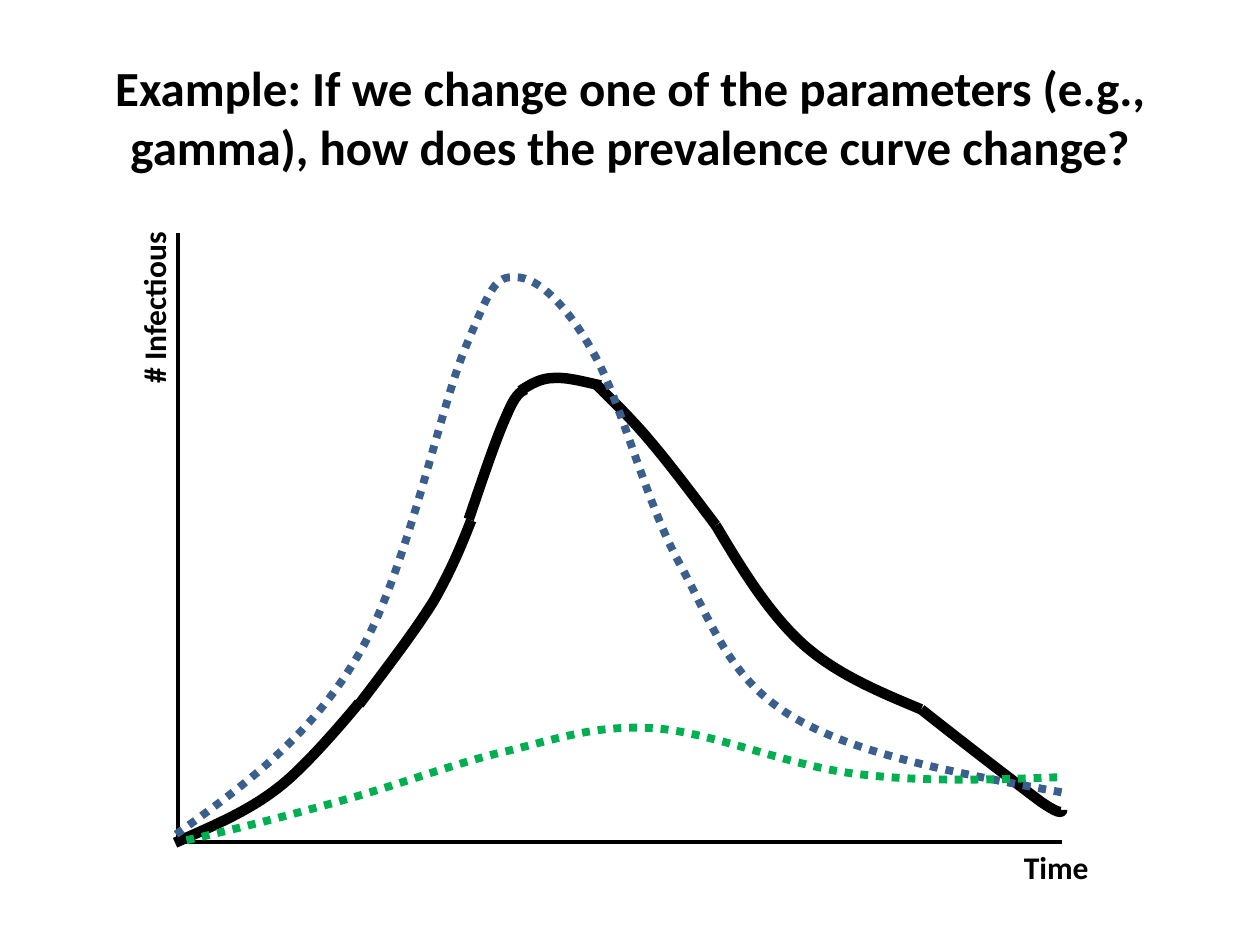
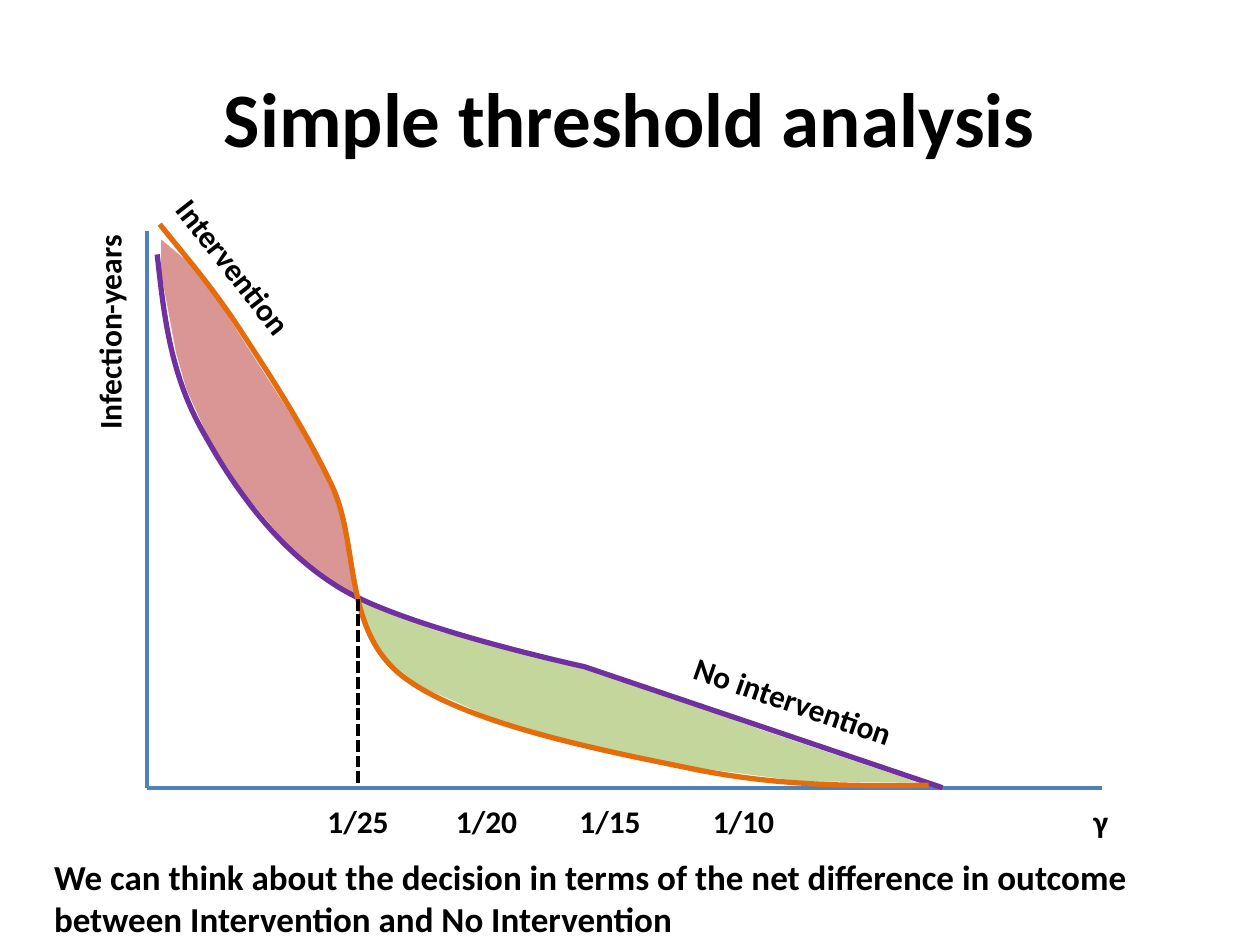
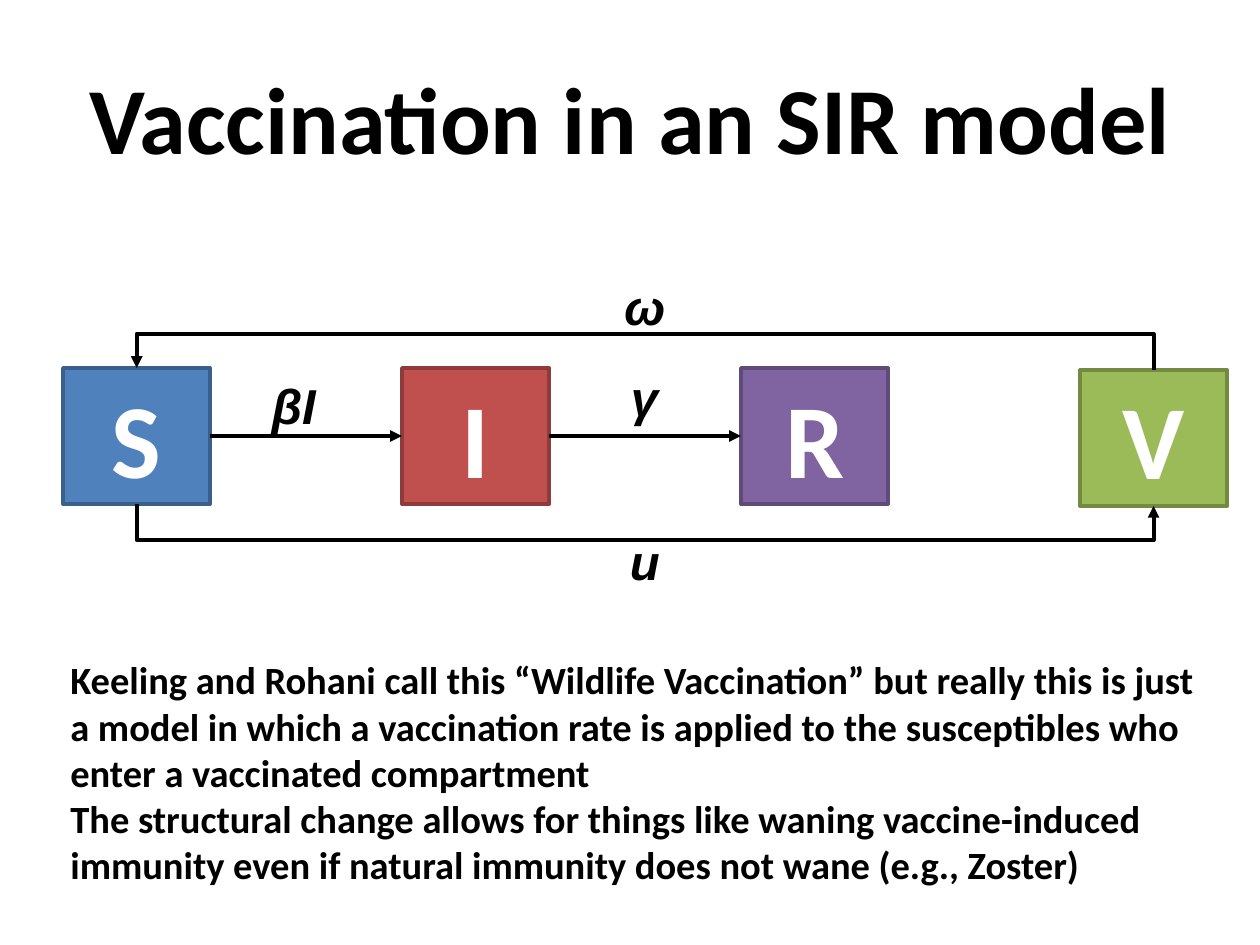
import collections

import pptx
import pptx.dml.color
import pptx.enum.dml
import pptx.enum.shapes
import pptx.enum.text
import pptx.oxml
import pptx.oxml.ns
import pptx.util

Cm = pptx.util.Cm
Pt = pptx.util.Pt
RGBColor = pptx.dml.color.RGBColor
DASH = pptx.enum.dml.MSO_LINE
CONNECTOR = pptx.enum.shapes.MSO_CONNECTOR
TEXT = pptx.enum.text
qn = pptx.oxml.ns.qn

BLACK = RGBColor(0x00, 0x00, 0x00)
WHITE = RGBColor(0xFF, 0xFF, 0xFF)
NAVY = RGBColor(0x3A, 0x5F, 0x8C)
GREEN = RGBColor(0x00, 0xB0, 0x50)
BLUE = RGBColor(0x4F, 0x81, 0xBD)
RED = RGBColor(0xC0, 0x50, 0x4D)
DARK_RED = RGBColor(0x8E, 0x3B, 0x39)
VIOLET = RGBColor(0x80, 0x64, 0xA2)
DARK_VIOLET = RGBColor(0x5F, 0x4A, 0x78)
OLIVE = RGBColor(0x9B, 0xBB, 0x59)
DARK_OLIVE = RGBColor(0x73, 0x8A, 0x42)
PURPLE = RGBColor(0x70, 0x30, 0xA0)
ORANGE = RGBColor(0xE4, 0x6C, 0x0A)
PALE_GREEN = RGBColor(0xC3, 0xD6, 0x9B)
PALE_RED = RGBColor(0xD9, 0x96, 0x94)

FONT = "Calibri"
SYMBOL_FONT = "Arial"
AXIS_WIDTH = 2.25
LABEL_HEIGHT = 1.02

# Centimetres; parts are placed relative to left and top.
Box = collections.namedtuple("Box", "left top width height")

# Curves: a start point, then two control points and an end point per segment.
BASELINE_PREVALENCE = [
    [(-0.05, 12.29), (0.69, 11.96), (1.42, 11.66), (2.03, 11.18),
     (2.64, 10.72), (3.66, 9.47), (3.66, 9.47)],
    [(3.66, 9.5), (4.22, 8.76), (4.78, 8.03), (5.16, 7.42),
     (5.51, 6.81), (5.72, 6.3), (5.92, 5.79)],
    [(5.87, 5.77), (6.15, 4.95), (6.43, 4.11), (6.63, 3.68),
     (6.81, 3.25), (6.91, 3.2), (7.01, 3.15)],
    [(6.91, 3.18), (7.11, 3.05), (7.32, 2.92), (7.59, 2.92),
     (7.85, 2.9), (8.2, 3), (8.53, 3.07)],
    [(8.46, 3.07), (8.79, 3.4), (9.14, 3.73), (9.55, 4.22),
     (9.93, 4.67), (10.39, 5.28), (10.85, 5.89)],
    [(10.85, 5.89), (11.38, 6.78), (11.91, 7.65), (12.6, 8.28),
     (13.28, 8.89), (14.15, 9.25), (14.99, 9.6)],
    [(14.99, 9.6), (15.95, 10.36), (16.92, 11.1), (17.4, 11.46),
     (17.88, 11.79), (17.83, 11.63), (17.83, 11.63)],
]
HIGH_PREVALENCE = [
    (-0.03, 12.12), (1.32, 11.15), (2.64, 10.19), (3.61, 8.56),
    (4.6, 6.93), (5.26, 3.63), (5.79, 2.34),
    (6.32, 1.07), (6.4, 0.86), (6.83, 0.89),
    (7.26, 0.89), (7.85, 1.45), (8.38, 2.41),
    (8.94, 3.38), (9.45, 5.46), (10.13, 6.68),
    (10.8, 7.92), (11.13, 8.99), (12.4, 9.75),
    (13.69, 10.52), (15.77, 10.9), (17.86, 11.28),
]
LOW_PREVALENCE = [
    (0.18, 12.24), (1.27, 11.99), (2.36, 11.71), (3.45, 11.4),
    (4.52, 11.1), (5.64, 10.67), (6.65, 10.44),
    (7.67, 10.19), (8.43, 9.91), (9.6, 9.98),
    (10.77, 10.06), (12.32, 10.74), (13.67, 10.9),
    (15.04, 11.07), (16.38, 11.02), (17.73, 10.97),
]
NO_INTERVENTION = [
    (0.2, 0.48), (0.33, 1.68), (0.46, 2.84), (1.07, 3.96),
    (1.68, 5.08), (2.57, 6.4), (3.86, 7.19),
    (5.16, 8), (8.81, 8.79), (8.81, 8.79),
    (8.81, 8.79), (16.03, 11.23), (16.03, 11.23),
]
INTERVENTION = [
    (0.25, -0.13), (0.76, 0.51), (1.3, 1.12), (1.88, 2.01),
    (2.46, 2.9), (3.18, 3.99), (3.73, 5.16),
    (4.27, 6.32), (3.94, 8.03), (5.13, 8.97),
    (6.32, 9.91), (9.07, 10.46), (10.85, 10.82),
    (12.62, 11.2), (14.2, 11.2), (15.75, 11.18),
]
NET_BENEFIT = [
    (15.52, 11.13), (13.18, 11.1), (10.39, 10.74), (7.32, 9.98),
    (5.46, 9.17), (4.62, 8.46), (4.27, 7.47), (5.87, 8.08),
    (8.71, 8.76), (10.9, 9.53), (12.37, 10.06), (15.32, 11.05),
]
NET_HARM = [
    (0.28, 0.18), (0.28, 0.86), (0.58, 2.46), (0.79, 3.2), (1.24, 4.19),
    (1.96, 5.31), (2.84, 6.35), (3.73, 7.14), (4.19, 7.34), (4.04, 6.35),
    (3.81, 5.46), (3.3, 4.34), (2.08, 2.44), (1.45, 1.45), (0.76, 0.58),
]


def set_font(paragraph, size, color=BLACK, name=FONT, italic=False):
    font = paragraph.font
    font.name, font.size = name, Pt(size)
    font.bold, font.italic = True, italic
    font.color.rgb = color


def add_titled_slide(deck, title, size):
    slide = deck.slides.add_slide(deck.slide_layouts[5])
    heading = slide.shapes.title
    heading.left, heading.top = Cm(1.27), Cm(0.76)
    heading.width, heading.height = Cm(22.86), Cm(3.18)
    frame = heading.text_frame
    frame.text = title
    frame.auto_size = TEXT.MSO_AUTO_SIZE.NONE
    frame.vertical_anchor = TEXT.MSO_ANCHOR.MIDDLE
    frame.paragraphs[0].alignment = TEXT.PP_ALIGN.CENTER
    set_font(frame.paragraphs[0], size)
    return slide


def add_label(slide, box, x, y, width, text, height=LABEL_HEIGHT, size=18,
              rotation=0, wrap=True, name=FONT, italic=False):
    label = slide.shapes.add_textbox(
        Cm(box.left + x), Cm(box.top + y), Cm(width), Cm(height))
    label.rotation = rotation
    frame = label.text_frame
    frame.text = text
    frame.word_wrap = wrap
    frame.auto_size = TEXT.MSO_AUTO_SIZE.SHAPE_TO_FIT_TEXT
    for paragraph in frame.paragraphs:
        set_font(paragraph, size, name=name, italic=italic)


def style_line(line, color, width, dash=None):
    line.color.rgb = color
    line.width = Pt(width)
    if dash:
        line.dash_style = dash


def add_line(slide, box, start, end, color=BLACK, dash=None, arrow=False,
             kind=CONNECTOR.STRAIGHT):
    ends = [Cm(origin + offset) for point in (start, end)
            for origin, offset in zip(box[:2], point)]
    connector = slide.shapes.add_connector(kind, *ends)
    style_line(connector.line, color, AXIS_WIDTH, dash)
    properties = connector.element.spPr
    if arrow:
        tail = properties.find(qn("a:ln")).makeelement(
            qn("a:tailEnd"), {"type": "triangle"})
        properties.find(qn("a:ln")).append(tail)
    properties.append(properties.makeelement(qn("a:effectLst"), {}))
    return connector


def add_axes(slide, box, color):
    origin = (0, box.height)
    add_line(slide, box, (0, 0), origin, color)
    add_line(slide, box, origin, (box.width, box.height), color)


def add_outline(slide, box, points, close):
    vertices = [(Cm(box.left + x), Cm(box.top + y)) for x, y in points]
    builder = slide.shapes.build_freeform(*vertices[0])
    builder.add_line_segments(vertices[1:], close=close)
    outline = builder.convert_to_shape()
    outline.shadow.inherit = False
    return outline


def add_area(slide, box, points, color):
    area = add_outline(slide, box, points, close=True)
    area.fill.solid()
    area.fill.fore_color.rgb = color
    area.line.fill.background()


def add_curve(slide, box, points, color, width, dash=None):
    """Draw Bézier segments, three points to each after the start."""
    curve = add_outline(slide, box, points, close=False)
    curve.fill.background()
    style_line(curve.line, color, width, dash)
    steps = list(curve.element.iter(qn("a:lnTo")))
    for first in range(0, len(steps), 3):
        segment = steps[first].makeelement(qn("a:cubicBezTo"), {})
        steps[first].addprevious(segment)
        for step in steps[first:first + 3]:
            segment.append(step[0])
            step.getparent().remove(step)


def draw_prevalence_plot(slide, box):
    add_label(slide, box, 16.81, box.height, 2.03, "Time")
    add_label(slide, box, -2.64, 0.61, 4.32, "# Infectious", rotation=270)
    add_axes(slide, box, BLACK)
    for piece in BASELINE_PREVALENCE:
        add_curve(slide, box, piece, BLACK, 6)
    for curve, color in ((HIGH_PREVALENCE, NAVY), (LOW_PREVALENCE, GREEN)):
        add_curve(slide, box, curve, color, 4.5, DASH.ROUND_DOT)


def draw_threshold_plot(slide, box):
    add_area(slide, box, NET_BENEFIT, PALE_GREEN)
    add_area(slide, box, NET_HARM, PALE_RED)
    add_axes(slide, box, BLUE)
    add_label(slide, box, -3, 1.52, 4.47, "Infection-years",
              rotation=270, wrap=False)
    add_label(slide, box, 10.67, 9.07, 5.28, "No intervention", rotation=19.2)
    add_curve(slide, box, NO_INTERVENTION, PURPLE, 3)
    add_curve(slide, box, INTERVENTION, ORANGE, 3)
    add_label(slide, box, -0.43, 0.81, 5.28, "Intervention", rotation=51.9)
    add_line(slide, box, (4.24, 7.42), (4.24, 11.18), dash=DASH.SQUARE_DOT)
    for x, width, text in ((3.38, 1.75, "1/25"), (5.97, 1.75, "1/20"),
                           (8.46, 1.75, "1/15"), (11.15, 1.75, "1/10"),
                           (18.82, 0.81, "γ")):
        add_label(slide, box, x, box.height + 0.17, width, text, wrap=False)


def add_compartment(slide, box, x, y, width, letter, fill, edge):
    compartment = slide.shapes.add_shape(
        pptx.enum.shapes.MSO_SHAPE.RECTANGLE, Cm(box.left + x),
        Cm(box.top + y), Cm(width), Cm(box.height))
    compartment.shadow.inherit = False
    compartment.fill.solid()
    compartment.fill.fore_color.rgb = fill
    style_line(compartment.line, edge, 2)
    frame = compartment.text_frame
    frame.text = letter
    frame.vertical_anchor = TEXT.MSO_ANCHOR.MIDDLE
    frame.paragraphs[0].alignment = TEXT.PP_ALIGN.CENTER
    set_font(frame.paragraphs[0], 60, WHITE)


def add_loop(slide, box, left, right, y, drop, flip):
    """Join S and V by a quarter-turned elbow that bulges past the boxes."""
    bulge = 0.69
    middle, half_span = (left + right) / 2, (right - left) / 2
    center = y + drop / 2
    loop = add_line(slide, box, (middle - drop / 2, center - half_span),
                    (middle + drop / 2, center + half_span),
                    arrow=True, kind=CONNECTOR.ELBOW)
    frame = loop.element.spPr.find(qn("a:xfrm"))
    frame.set("rot", str(270 * 60000))
    frame.set(flip, "1")
    adjustments = next(loop.element.iter(qn("a:avLst")))
    adjustments.append(adjustments.makeelement(qn("a:gd"), {
        "name": "adj1", "fmla": f"val {round((bulge + drop) / drop * 100000)}"}))


def draw_vaccination_model(slide, box):
    side, drop = 2.97, 0.04
    pitch = (box.width - side) / 3
    compartments = (("S", BLUE, NAVY, 0), ("I", RED, DARK_RED, 0),
                    ("R", VIOLET, DARK_VIOLET, 0),
                    ("V", OLIVE, DARK_OLIVE, drop))
    for index, (letter, fill, edge, y) in enumerate(compartments):
        add_compartment(slide, box, index * pitch, y, side, letter, fill, edge)
    for index in range(2):
        add_line(slide, box, (index * pitch + side, box.height / 2),
                 ((index + 1) * pitch, box.height / 2), arrow=True)
    for y, flip in ((box.height, "flipH"), (0, "flipV")):
        add_loop(slide, box, side / 2, 3 * pitch + side / 2, y, drop, flip)
    for x, y, width, rate in ((3.96, 0.03, 1.4, "βI"), (11.2, -0.13, 1.07, "γ"),
                              (11.18, 3.18, 1.12, "u"),
                              (11.07, -1.98, 1.35, "ω")):
        add_label(slide, box, x, y, width, rate, height=1.45, size=28,
                  wrap=False, name=SYMBOL_FONT, italic=True)


def add_commentary(slide, box, text, size):
    add_label(slide, box, 0, 0, box.width, text, height=box.height, size=size)


def main():
    deck = pptx.Presentation()
    deck.slide_width, deck.slide_height = Cm(25.4), Cm(19.05)

    slide = add_titled_slide(
        deck, "Example: If we change one of the parameters (e.g., gamma), "
        "how does the prevalence curve change?", 28)
    draw_prevalence_plot(slide, Box(3.58, 4.7, 17.83, 12.27))

    slide = add_titled_slide(deck, "Simple threshold analysis", 44)
    draw_threshold_plot(slide, Box(2.97, 4.65, 19.25, 11.23))
    add_commentary(
        slide, Box(0.84, 17.12, 23.5, 1.96),
        "We can think about the decision in terms of the net difference in "
        "outcome between Intervention and No Intervention", 20)

    slide = add_titled_slide(deck, "Vaccination in an SIR model", 54)
    draw_vaccination_model(slide, Box(1.27, 7.42, 23.47, 2.74))
    add_commentary(
        slide, Box(1.17, 13.11, 23.5, 4.95),
        "Keeling and Rohani call this “Wildlife Vaccination” but really this "
        "is just a model in which a vaccination rate is applied to the "
        "susceptibles who enter a vaccinated compartment\n"
        "The structural change allows for things like waning vaccine-induced "
        "immunity even if natural immunity does not wane (e.g., Zoster)", 22)

    deck.save("out.pptx")


if __name__ == "__main__":
    main()
